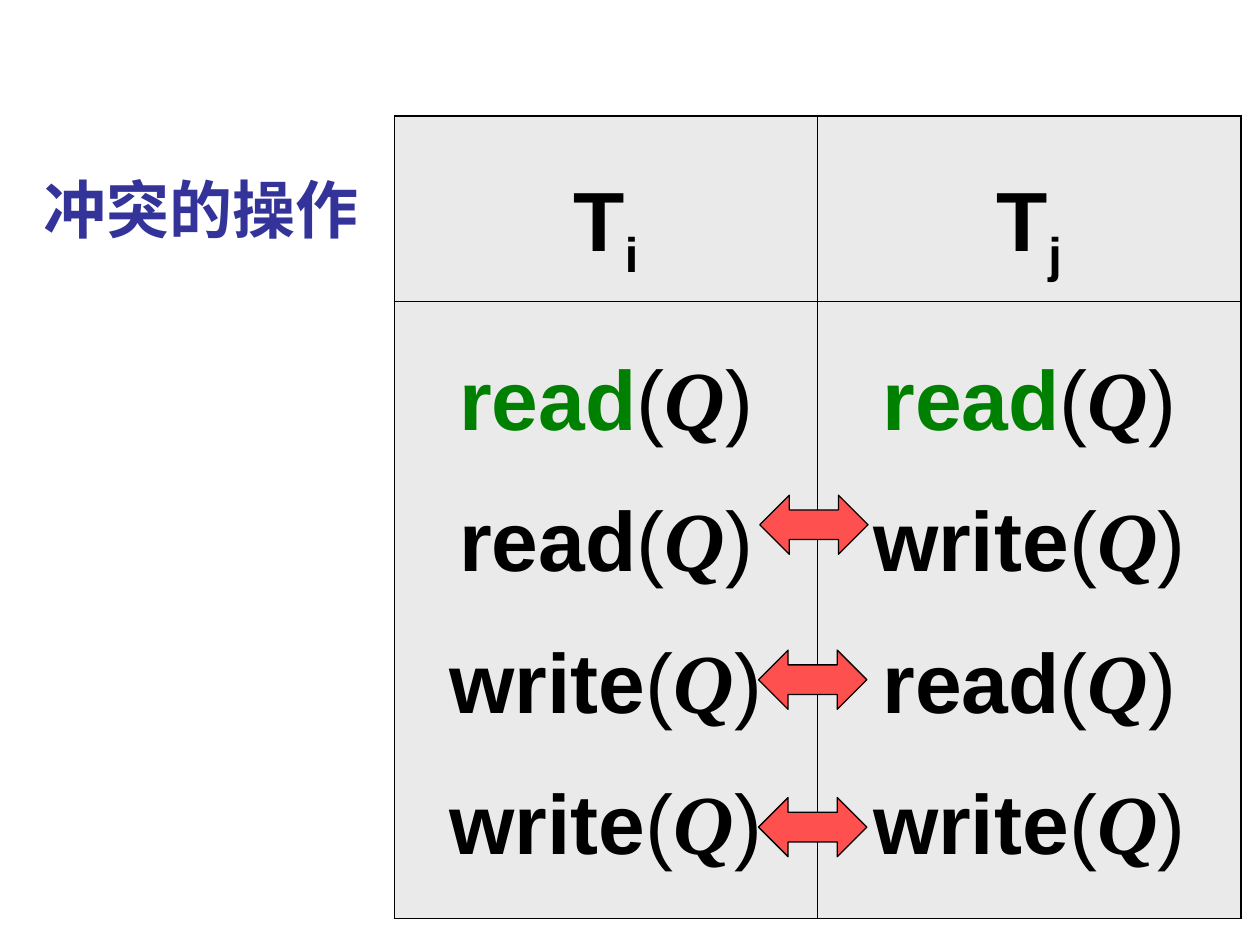
from lxml.etree import SubElement
from pptx import Presentation
from pptx.dml.color import RGBColor
from pptx.enum.shapes import MSO_SHAPE
from pptx.enum.text import MSO_ANCHOR, PP_ALIGN
from pptx.oxml.ns import qn
from pptx.util import Inches, Pt

COLORS = {"title": "333399", "text": "000000", "safe": "008000",
          "cell": "EAEAEA", "arrow": "FF5050", "line": "000000"}
OPERATIONS = [["read", "read", "write", "write"],
              ["read", "write", "read", "write"]]
ARROWS = [(6.03, 3.93), (6.02, 5.16), (6.02, 6.33)]


def rgb(name):
    return RGBColor.from_string(COLORS[name])


class ConflictSlide:
    """Holds the style and the slide, and draws each kind of element."""

    font, serif, size = "Arial", "Times New Roman", 48
    outer, inner = 1.08, 0.45

    def __init__(self, prs):
        self.s = prs.slides.add_slide(prs.slide_layouts[6])

    def title(self, text, x, y, w, h):
        tf = self.s.shapes.add_textbox(Inches(x), Inches(y), Inches(w), Inches(h)).text_frame
        tf.word_wrap = True
        tf.vertical_anchor = MSO_ANCHOR.BOTTOM
        r = tf.paragraphs[0].add_run()
        r.text = text
        r.font.size, r.font.bold, r.font.name = Pt(36), True, "Roboto"
        r.font.color.rgb = rgb("title")
        SubElement(r._r.get_or_add_rPr(), qn("a:ea"), typeface="Roboto")

    def run(self, p, text, bold=True, color="text", italic=False, font=font, baseline=None):
        r = p.add_run()
        r.text = text
        r.font.size, r.font.bold, r.font.italic = Pt(self.size), bold, italic
        r.font.name = font
        r.font.color.rgb = rgb(color)
        if baseline:
            r._r.get_or_add_rPr().set("baseline", str(baseline))

    def paragraph(self, tf, first):
        p = tf.paragraphs[0] if first else tf.add_paragraph()
        p.alignment, p.line_spacing = PP_ALIGN.CENTER, 1.5
        return p

    def header(self, cell, subscript):
        p = self.paragraph(cell.text_frame, True)
        self.run(p, "T")
        self.run(p, subscript, baseline=-25000)

    def operations(self, cell, names):
        for i, name in enumerate(names):
            p = self.paragraph(cell.text_frame, i == 0)
            self.run(p, name, color="text" if i else "safe")
            self.run(p, "(", bold=False)
            self.run(p, "Q", italic=True, font=self.serif)
            self.run(p, ")", bold=False)

    def cell_style(self, cell, row, col):
        tcPr = cell._tc.get_or_add_tcPr()
        edges = {"lnL": col == 0, "lnR": col == 1, "lnT": row == 0, "lnB": row == 1}
        for tag, is_outer in edges.items():
            width = Pt(self.outer if is_outer else self.inner)
            ln = SubElement(tcPr, qn(f"a:{tag}"), w=str(width))
            fill = SubElement(ln, qn("a:solidFill"))
            SubElement(fill, qn("a:srgbClr"), val=COLORS["line"])
        cell.fill.solid()
        cell.fill.fore_color.rgb = rgb("cell")

    def table(self, x, y, col_width, row_heights):
        table = self.s.shapes.add_table(
            2, 2, Inches(x), Inches(y), Inches(2 * col_width), Inches(sum(row_heights))).table
        for row, height in zip(table.rows, row_heights):
            row.height = Inches(height)
        for col, subscript in enumerate("ij"):
            table.columns[col].width = Inches(col_width)
            self.header(table.cell(0, col), subscript)
            self.operations(table.cell(1, col), OPERATIONS[col])
            for row in range(2):
                self.cell_style(table.cell(row, col), row, col)

    def arrow(self, x, y):
        sp = self.s.shapes.add_shape(
            MSO_SHAPE.LEFT_RIGHT_ARROW, Inches(x), Inches(y), Inches(0.86), Inches(0.47))
        sp.shadow.inherit = False
        sp.fill.solid()
        sp.fill.fore_color.rgb = rgb("arrow")
        sp.line.color.rgb = rgb("line")
        sp.line.width = Pt(0.75)


def main():
    prs = Presentation()
    prs.slide_width, prs.slide_height = Inches(10), Inches(7.5)
    slide = ConflictSlide(prs)
    slide.title("冲突的操作", 0.25, 0.75, 9.08, 1.25)
    slide.table(3.13, 0.92, 3.36, [1.47, 4.9])
    for x, y in ARROWS:
        slide.arrow(x, y)
    prs.save("out.pptx")


if __name__ == "__main__":
    main()
